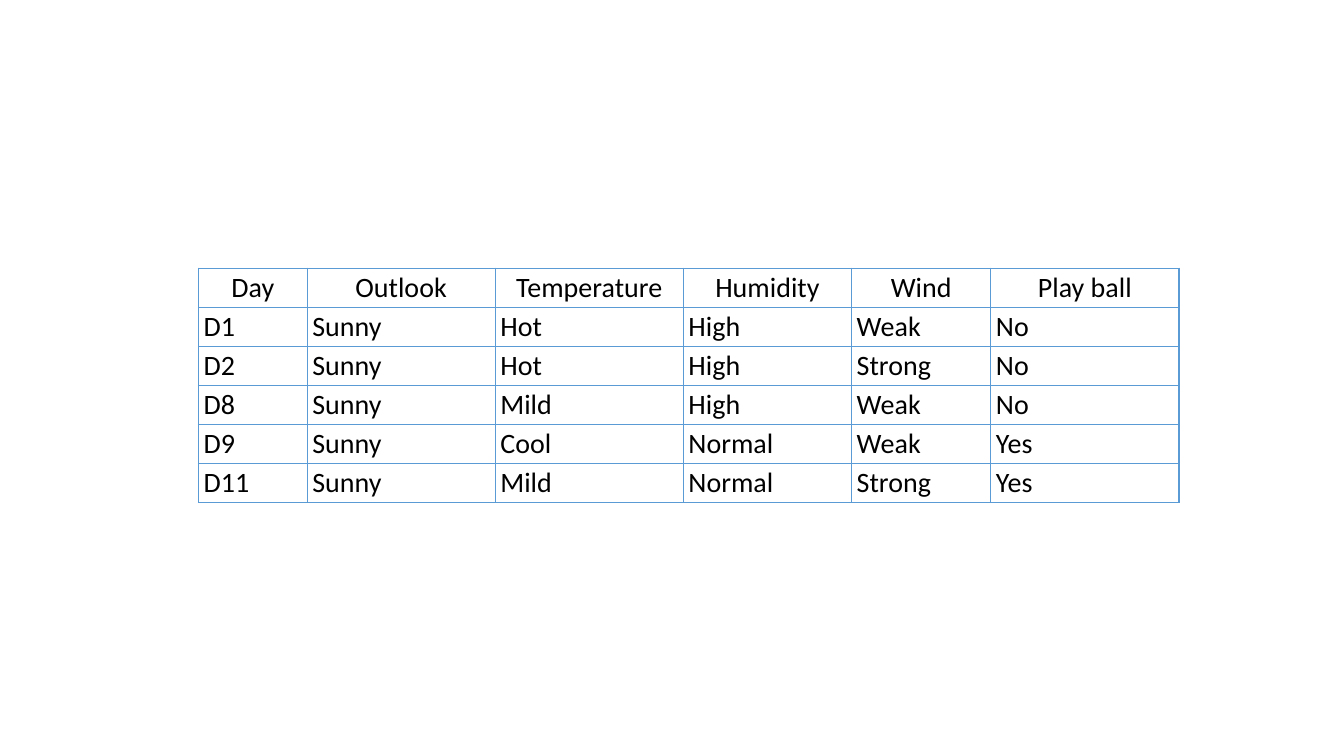
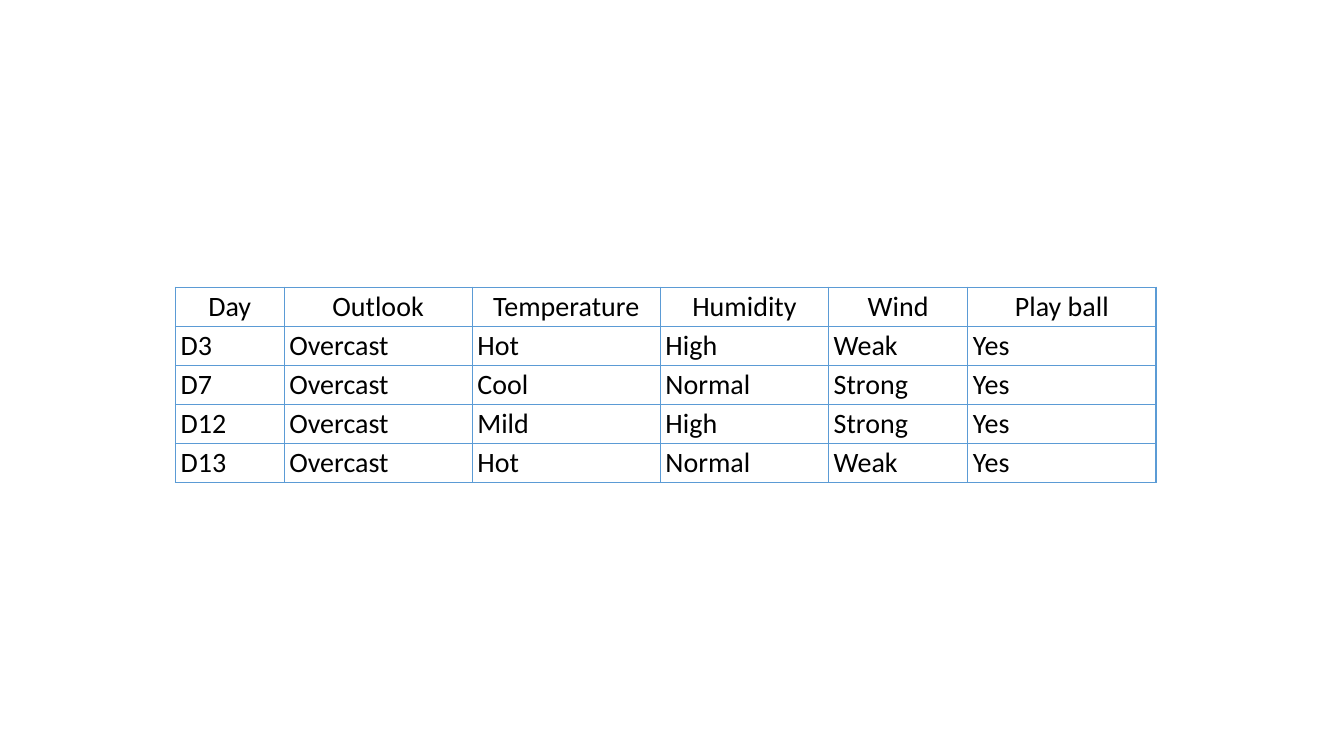
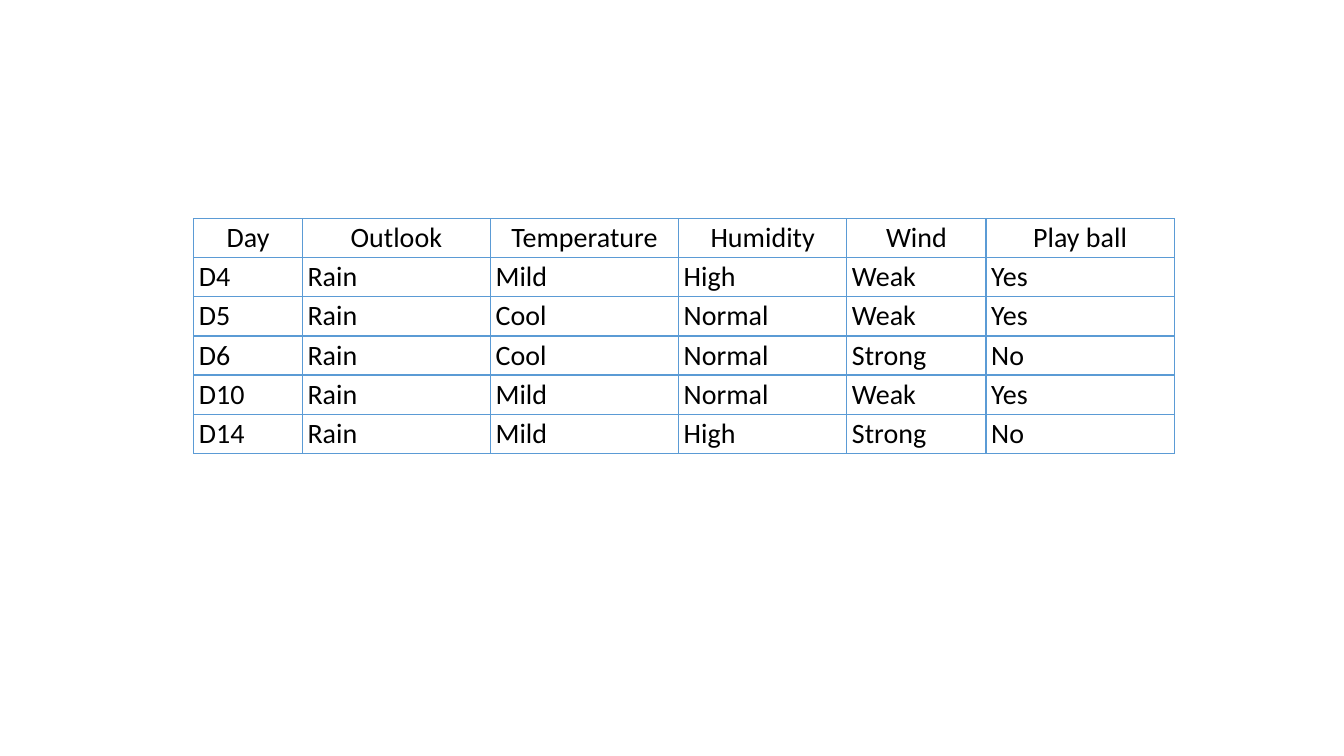
"""Build three slides that split the play-ball weather records by outlook."""
from lxml import etree
from pptx import Presentation
from pptx.dml.color import RGBColor
from pptx.enum.text import PP_ALIGN
from pptx.oxml.ns import qn
from pptx.util import Cm, Pt

HEADER = ("Day", "Outlook", "Temperature", "Humidity", "Wind", "Play ball")
OUTLOOKS = [
    ("Sunny", (5, 6.76), [
        ("D1", "Hot", "High", "Weak", "No"),
        ("D2", "Hot", "High", "Strong", "No"),
        ("D8", "Mild", "High", "Weak", "No"),
        ("D9", "Cool", "Normal", "Weak", "Yes"),
        ("D11", "Mild", "Normal", "Strong", "Yes"),
    ]),
    ("Overcast", (4.42, 7.24), [
        ("D3", "Hot", "High", "Weak", "Yes"),
        ("D7", "Cool", "Normal", "Strong", "Yes"),
        ("D12", "Mild", "High", "Strong", "Yes"),
        ("D13", "Hot", "Normal", "Weak", "Yes"),
    ]),
    ("Rain", (4.88, 5.51), [
        ("D4", "Mild", "High", "Weak", "Yes"),
        ("D5", "Cool", "Normal", "Weak", "Yes"),
        ("D6", "Cool", "Normal", "Strong", "No"),
        ("D10", "Mild", "Normal", "Weak", "Yes"),
        ("D14", "Mild", "High", "Strong", "No"),
    ]),
]
COLUMN_WIDTHS = (2.74, 4.74, 4.74, 4.24, 3.51, 4.74)
ROW_HEIGHT, DRAWN_ROW_HEIGHT = 0.81, 0.96
SIDE_MARGIN, END_MARGIN = 0.13, 0.06
FONT, FONT_SIZE = "Calibri", 20
TEXT_COLOUR, BORDER_COLOUR, BORDER_WIDTH = "000000", "5B9BD5", 1


def colour(hex_string):
    return RGBColor.from_string(hex_string)


def add_borders(cell):
    properties = cell._tc.get_or_add_tcPr()
    for side in ("lnL", "lnR", "lnT", "lnB"):
        line = etree.SubElement(properties, qn(f"a:{side}"), w=str(Pt(BORDER_WIDTH)))
        fill = etree.SubElement(line, qn("a:solidFill"))
        etree.SubElement(fill, qn("a:srgbClr"), val=str(colour(BORDER_COLOUR)))


def fill_cell(cell, text, alignment):
    add_borders(cell)
    cell.fill.background()
    cell.margin_left = cell.margin_right = Cm(SIDE_MARGIN)
    cell.margin_top = cell.margin_bottom = Cm(END_MARGIN)
    paragraph = cell.text_frame.paragraphs[0]
    paragraph.alignment = alignment
    run = paragraph.add_run()
    run.text = text
    run.font.name, run.font.size = FONT, Pt(FONT_SIZE)
    run.font.color.rgb = colour(TEXT_COLOUR)


def add_weather_table(slide, left, top, rows):
    height = Cm(DRAWN_ROW_HEIGHT * len(rows))
    frame = slide.shapes.add_table(len(rows), len(HEADER), Cm(left), Cm(top),
                                   Cm(sum(COLUMN_WIDTHS)), height)
    table = frame.table
    table.first_row = table.horz_banding = False
    for column, width in zip(table.columns, COLUMN_WIDTHS):
        column.width = Cm(width)
    for r, values in enumerate(rows):
        table.rows[r].height = Cm(ROW_HEIGHT)
        alignment = PP_ALIGN.LEFT if r else PP_ALIGN.CENTER
        for c, text in enumerate(values):
            fill_cell(table.cell(r, c), text, alignment)
    frame.height = height


deck = Presentation()
deck.slide_width, deck.slide_height = Cm(33.87), Cm(19.05)
for outlook, (left, top), days in OUTLOOKS:
    records = [(day, outlook, *weather) for day, *weather in days]
    slide = deck.slides.add_slide(deck.slide_layouts[6])
    add_weather_table(slide, left, top, [HEADER, *records])
deck.save("out.pptx")
